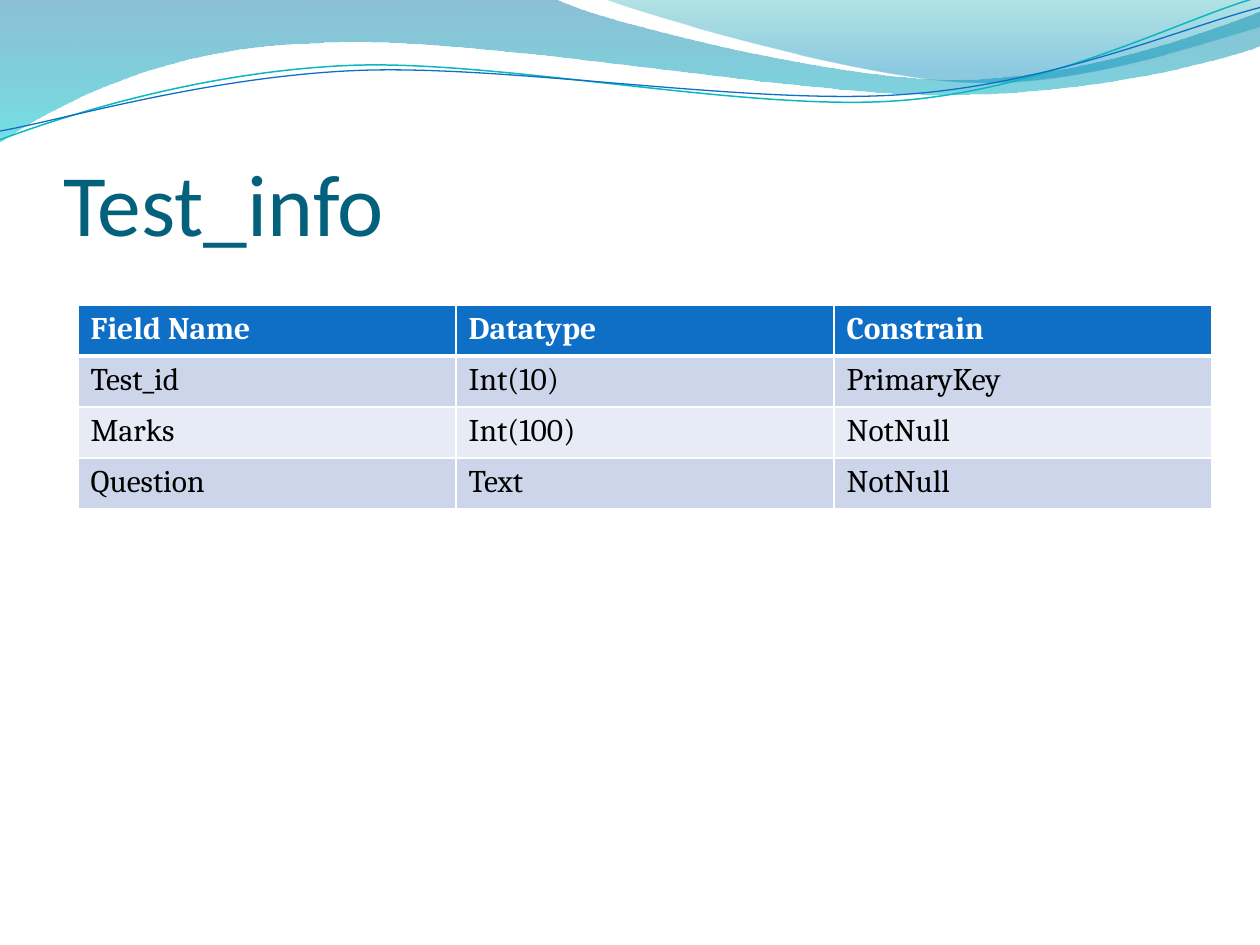
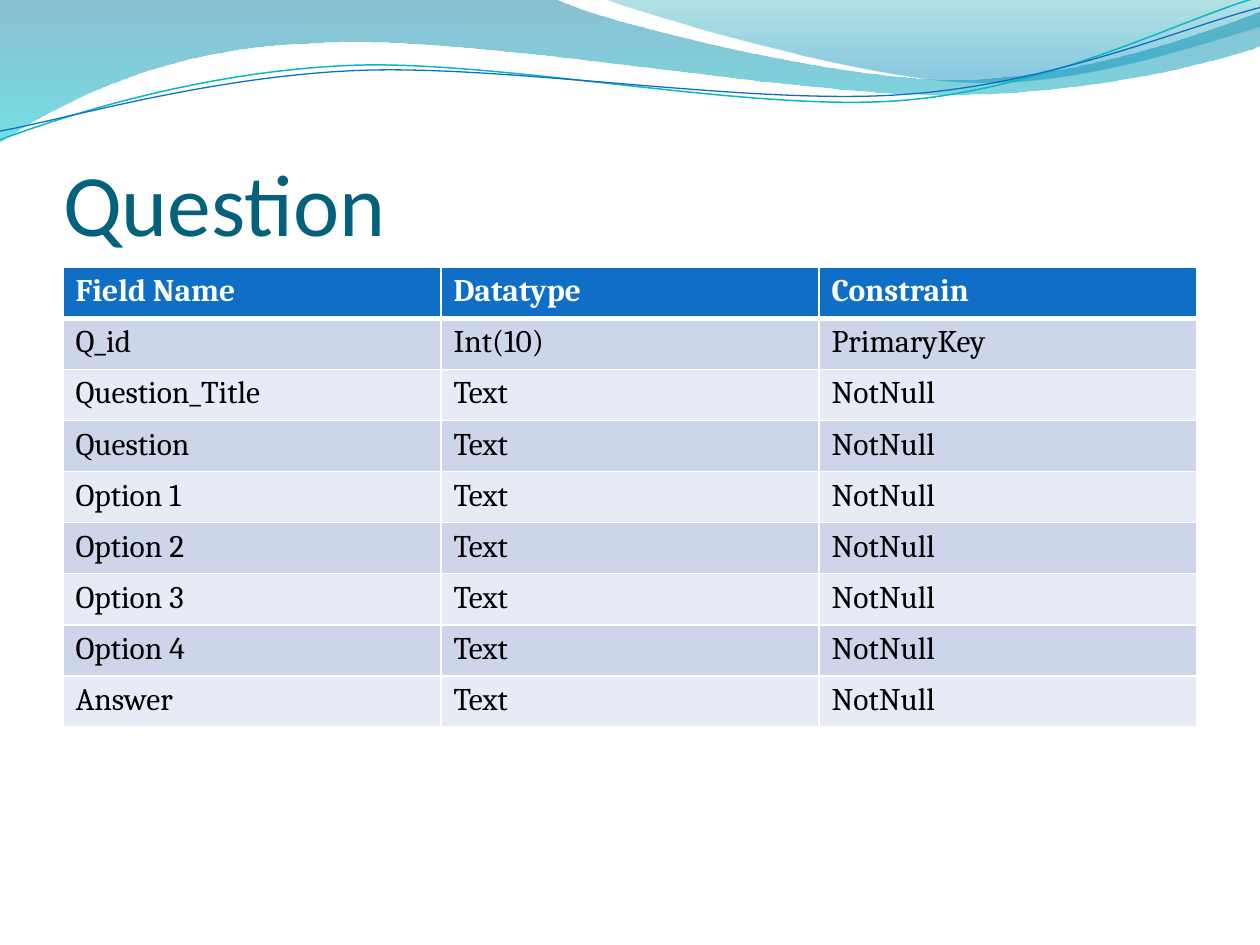
from dataclasses import dataclass

from lxml.etree import SubElement
from pptx import Presentation
from pptx.dml.color import RGBColor
from pptx.enum.text import MSO_ANCHOR, MSO_AUTO_SIZE, PP_ALIGN
from pptx.oxml.ns import qn
from pptx.util import Inches, Pt


@dataclass(frozen=True)
class Theme:
    title: str = "04617B"
    head: str = "0F6FC6"
    bands: tuple = ("CCD5EA", "E7EBF5")
    white: str = "FFFFFF"
    black: str = "000000"
    teal: str = "0AB8BF"
    title_font: str = "Calibri"
    body_font: str = "Cambria"
    title_size: int = 50
    body_size: int = 18


theme = Theme()


def put(frame, text, font, size, color, bold=False):
    """Write one left-aligned line of text in the given format."""
    frame.text = text
    line = frame.paragraphs[0]
    line.alignment = PP_ALIGN.LEFT
    run = line.runs[0].font
    run.name, run.size, run.bold = font, Pt(size), bold
    run.color.rgb = RGBColor.from_string(color)


def trace(shapes, start, steps, close):
    """Draw straight (x, y) and cubic (three points) steps, in inches."""
    spots = [(round(step[i] * 100), round(step[i + 1] * 100))
             for step in steps for i in range(0, len(step), 2)]
    pen = shapes.build_freeform(*(round(n * 100) for n in start), scale=Inches(0.01))
    pen.add_line_segments(spots, close=close)
    shape = pen.convert_to_shape()
    parts = list(shape.element.iter(qn("a:lnTo")))
    for step in steps:
        group = [parts.pop(0) for _ in range(len(step) // 2)]
        if len(group) == 3:
            curve = group[0].makeelement(qn("a:cubicBezTo"))
            group[0].addprevious(curve)
            for part in group:
                curve.append(part[0])
                part.getparent().remove(part)
    shape.shadow.inherit = False
    return shape


# Wave outlines in inches: filled bands have stops (position, color, opacity)
bands = [
    ((0, 0),
     [(4.4, -0.01), (4.76, 0.17, 6.64, 0.63, 7.58, 0.63),
      (8.53, 0.63, 9.58, 0.26, 10, 0.09), (10.01, 0.36),
      (9.83, 0.44, 8.7, 0.76, 7.46, 0.75), (6.22, 0.75, 3.82, 0.28, 2.57, 0.34),
      (1.29, 0.36, 0.46, 0.83, -0.01, 1.13)],
     [(0, "0074A1", 45), (1, "00C6CF", 55)]),
    ((4.79, -0.01),
     [(5.09, 0.11, 6.82, 0.62, 7.69, 0.65), (8.56, 0.69, 9.61, 0.32, 10, 0.21), (10, 0)],
     [(0, "00A1A9", 30), (0.8, "008BBF", 45)]),
]
lines = [
    ((0, 1.11),
     [(0.48, 0.93, 1.58, 0.57, 2.77, 0.52), (3.95, 0.47, 5.93, 0.89, 7.13, 0.8),
      (8.33, 0.71, 9.38, 0.15, 9.98, -0.02)],
     theme.teal, 0.85),
    ((0, 1.04),
     [(0.47, 0.96, 1.64, 0.61, 2.83, 0.56), (4.03, 0.51, 5.97, 0.84, 7.17, 0.75),
      (8.36, 0.67, 9.41, 0.21, 10, 0.06)],
     theme.head, 0.75),
]

# Slide content: title, table place (left, top, height), rows
header = ("Field Name", "Datatype", "Constrain")
pages = [
    ("Test_info", (0.62, 2.42, 1.62),
     [("Test_id", "Int(10)", "PrimaryKey"),
      ("Marks", "Int(100)", "NotNull"),
      ("Question", "Text", "NotNull")]),
    ("Question", (0.5, 2.12, 3.65),
     [("Q_id", "Int(10)", "PrimaryKey")]
     + [(name, "Text", "NotNull") for name in
        ("Question_Title", "Question", "Option 1", "Option 2",
         "Option 3", "Option 4", "Answer")]),
]

deck = Presentation()
deck.slide_width, deck.slide_height = Inches(10), Inches(7.5)
layout = deck.slide_layouts[5]
slides = [deck.slides.add_slide(layout) for page in pages]

# Draw the waves once and move them to the back of the shared layout
waves = []
for start, steps, stops in bands:
    wave = trace(slides[0].shapes, start, steps, close=True)
    wave.line.fill.background()
    wave.fill.gradient()
    wave.fill.gradient_angle = 270
    for stop, (place, color, _) in zip(wave.fill.gradient_stops, stops):
        stop.position = place
        stop.color.rgb = RGBColor.from_string(color)
    tints = wave.element.spPr.iter(qn("a:srgbClr"))
    for tint, (_, _, alpha) in zip(tints, stops):
        SubElement(tint, qn("a:alpha"), val=str(alpha * 1000))
    waves.append(wave)
for start, steps, color, width in lines:
    wave = trace(slides[0].shapes, start, steps, close=False)
    wave.fill.background()
    wave.line.color.rgb = RGBColor.from_string(color)
    wave.line.width = Pt(width)
    waves.append(wave)
for i, wave in enumerate(waves):
    layout.shapes.element.insert(2 + i, wave.element)

for slide, (name, (left, top, height), rows) in zip(slides, pages):
    # Title
    title = slide.shapes.title
    title.left, title.top = Inches(0.5), Inches(0.77)
    title.width, title.height = Inches(9), Inches(1.25)
    frame = title.text_frame
    frame.auto_size = MSO_AUTO_SIZE.NONE
    frame.vertical_anchor = MSO_ANCHOR.BOTTOM
    frame.margin_left = frame.margin_right = frame.margin_bottom = 0
    frame.margin_top = Inches(0.05)
    put(frame, name, font=theme.title_font, size=theme.title_size, color=theme.title)

    # Table with a heavier rule under its header
    grid = slide.shapes.add_table(len(rows) + 1, len(header), Inches(left),
                                  Inches(top), Inches(9), Inches(height)).table
    for r, row in enumerate([header] + rows):
        for c, text in enumerate(row):
            cell = grid.cell(r, c)
            put(cell.text_frame, text, font=theme.body_font, size=theme.body_size,
                color=theme.black if r else theme.white, bold=r == 0)
            props = cell._tc.get_or_add_tcPr()
            for side in ("lnL", "lnR", "lnT", "lnB"):
                heavy = (r, side) in ((0, "lnB"), (1, "lnT"))
                edge = SubElement(props, qn("a:" + side), w=str(Pt(3 if heavy else 1)))
                paint = SubElement(edge, qn("a:solidFill"))
                SubElement(paint, qn("a:srgbClr"), val=theme.white)
            cell.fill.solid()
            fill = theme.bands[(r - 1) % 2] if r else theme.head
            cell.fill.fore_color.rgb = RGBColor.from_string(fill)

deck.save("out.pptx")
